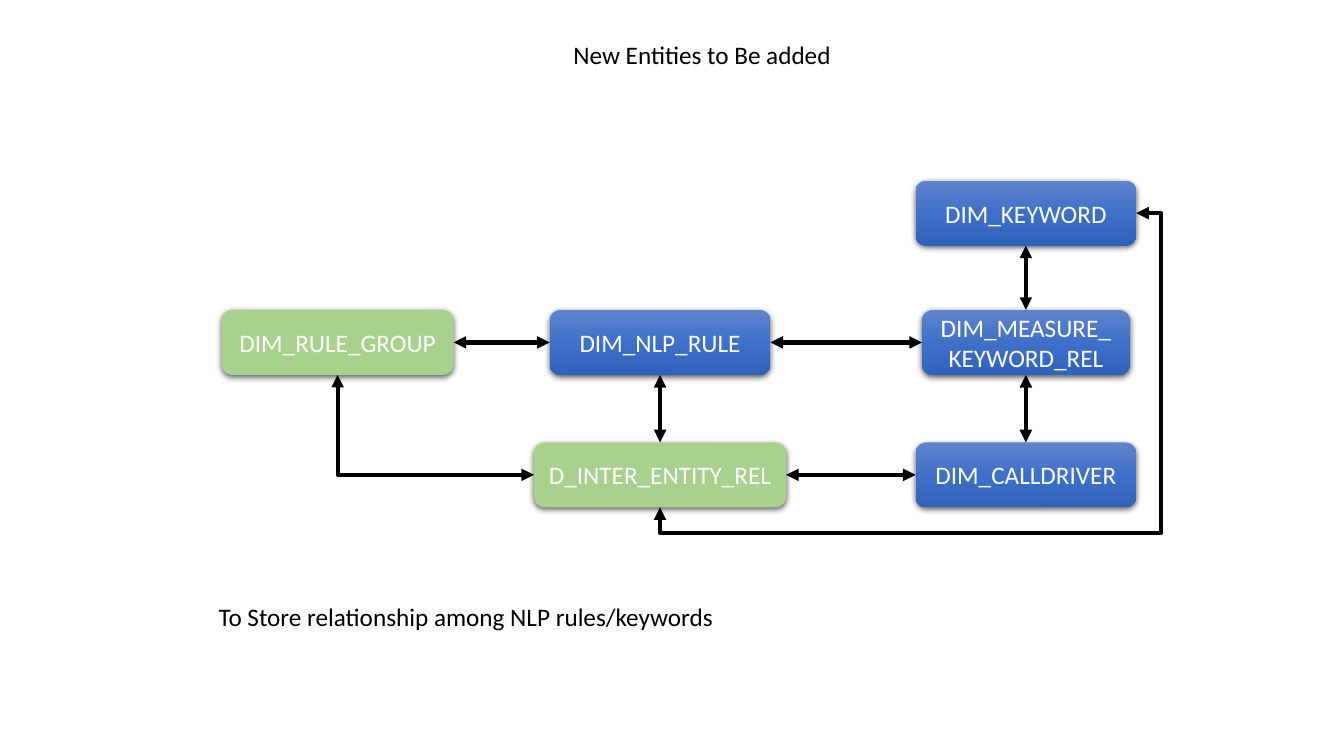
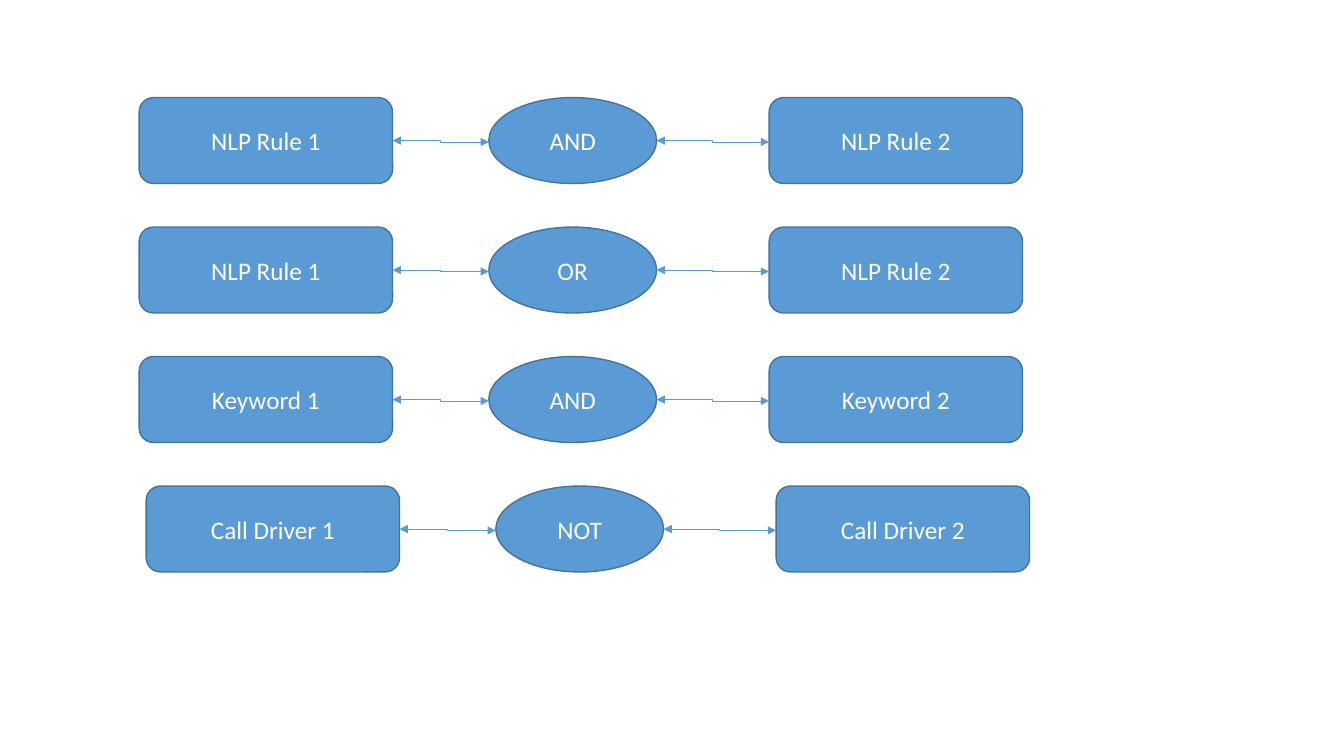
from copy import deepcopy

from lxml.etree import SubElement
from pptx import Presentation
from pptx.dml.color import RGBColor
from pptx.enum.shapes import MSO_CONNECTOR, MSO_SHAPE
from pptx.enum.text import MSO_ANCHOR, MSO_AUTO_SIZE, PP_ALIGN
from pptx.oxml.ns import qn
from pptx.util import Pt

COLORS = {
    "text": "000000",
    "light_text": "FFFFFF",
    "arrow": "000000",
    "new_entity": "A9D18E",
    "operand": "5B9BD5",
    "operand_line": "43739E",
}
ENTITY_GRADIENT = [(0, "6183CB"), (0.5, "3E70CA"), (1, "3062BB")]
TOP, LEFT, BOTTOM, RIGHT = range(4)


def rgb(name):
    return RGBColor.from_string(COLORS[name])


class Deck:
    font_name = "Calibri"
    font_size = Pt(18)

    def __init__(self):
        self.presentation = Presentation()
        self.presentation.slide_width = Pt(960)
        self.presentation.slide_height = Pt(540)
        self.slide = None

    def add_slide(self):
        self.slide = self.presentation.slides.add_slide(self.presentation.slide_layouts[6])

    def style_text(self, shape, text, color, alignment):
        shape.text_frame.text = text
        paragraph = shape.text_frame.paragraphs[0]
        paragraph.alignment = alignment
        for run in paragraph.runs:
            run.font.name = self.font_name
            run.font.size = self.font_size
            run.font.color.rgb = rgb(color)

    def label(self, text, left, top, width):
        shape = self.slide.shapes.add_textbox(Pt(left), Pt(top), Pt(width), Pt(29))
        self.style_text(shape, text, "text", PP_ALIGN.LEFT)
        shape.text_frame.word_wrap = False
        shape.text_frame.auto_size = MSO_AUTO_SIZE.SHAPE_TO_FIT_TEXT

    def node(self, kind, text, left, top, width, height):
        shape = self.slide.shapes.add_shape(kind, Pt(left), Pt(top), Pt(width), Pt(height))
        shape.shadow.inherit = False
        self.style_text(shape, text, "light_text", PP_ALIGN.CENTER)
        shape.text_frame.word_wrap = True
        shape.text_frame.vertical_anchor = MSO_ANCHOR.MIDDLE
        return shape

    def entity(self, text, center, top, width, height, is_new=False):
        shape = self.node(MSO_SHAPE.ROUNDED_RECTANGLE, text, center - width / 2, top, width, height)
        shape.line.fill.background()
        if is_new:
            shape.fill.solid()
            shape.fill.fore_color.rgb = rgb("new_entity")
        else:
            self.shade(shape)
        effects = shape._element.spPr.find(qn("a:effectLst"))
        shadow = SubElement(effects, qn("a:outerShdw"), blurRad=str(Pt(4.5)),
                            dist=str(Pt(1.5)), dir="5400000", algn="ctr", rotWithShape="0")
        color = SubElement(shadow, qn("a:srgbClr"), val="000000")
        SubElement(color, qn("a:alpha"), val="63000")
        return shape

    def shade(self, shape):
        shape.fill.gradient()
        shape.fill.gradient_angle = 270
        stop_list = shape._element.spPr.find(".//" + qn("a:gsLst"))
        stop_list.append(deepcopy(stop_list[0]))
        for stop, (position, color) in zip(shape.fill.gradient_stops, ENTITY_GRADIENT):
            stop.position = position
            stop.color.rgb = RGBColor.from_string(color)

    def operand(self, kind, text, left, top, width, height):
        shape = self.node(kind, text, left, top, width, height)
        shape.fill.solid()
        shape.fill.fore_color.rgb = rgb("operand")
        shape.line.color.rgb = rgb("operand_line")
        shape.line.width = Pt(1)

    def arrow(self, kind, color, width, begin=(0, 0), end=(0, 0)):
        connector = self.slide.shapes.add_connector(kind, *map(Pt, begin + end))
        connector.line.color.rgb = rgb(color)
        connector.line.width = Pt(width)
        properties = connector._element.spPr
        line = properties.find(qn("a:ln"))
        for tag in ("a:headEnd", "a:tailEnd"):
            SubElement(line, qn(tag), type="triangle")
        SubElement(properties, qn("a:effectLst"))
        return connector

    def join(self, first, first_side, second, second_side, kind=MSO_CONNECTOR.STRAIGHT):
        connector = self.arrow(kind, "arrow", 3)
        connector.begin_connect(first, first_side)
        connector.end_connect(second, second_side)
        return connector

    def bend(self, connector, preset, *adjustments):
        geometry = connector._element.spPr.find(qn("a:prstGeom"))
        geometry.set("prst", preset)
        guides = geometry.find(qn("a:avLst"))
        for number, value in enumerate(adjustments, 1):
            SubElement(guides, qn("a:gd"), name=f"adj{number}", fmla=f"val {round(value * 100000)}")


def add_entities_slide(deck):
    deck.add_slide()
    deck.label("New Entities to Be added", 402.5, 24.5, 201)
    deck.label("To Store relationship among NLP rules/keywords", 149, 426.2, 372)

    left, middle, right = 241.2, 471.5, 732.8
    upper, center, lower = 129, 221.4, 316
    height = 46.4
    keyword = deck.entity("DIM_KEYWORD", right, upper, 157.6, height)
    group = deck.entity("DIM_RULE_GROUP", left, center, 165.6, height, is_new=True)
    rule = deck.entity("DIM_NLP_RULE", middle, center, 157.6, height)
    measure = deck.entity("DIM_MEASURE_KEYWORD_REL", right, center, 148.4, height)
    relation = deck.entity("D_INTER_ENTITY_REL", middle, lower, 180, height, is_new=True)
    driver = deck.entity("DIM_CALLDRIVER", right, lower, 157.6, height)

    for first, second in ((group, rule), (rule, measure), (relation, driver)):
        deck.join(first, RIGHT, second, LEFT)
    for first, second in ((keyword, measure), (measure, driver), (rule, relation)):
        deck.join(first, BOTTOM, second, TOP)

    corner = deck.join(relation, LEFT, group, BOTTOM, MSO_CONNECTOR.ELBOW)
    deck.bend(corner, "bentConnector2")
    detour = deck.join(keyword, RIGHT, relation, BOTTOM, MSO_CONNECTOR.ELBOW)
    clearance = Pt(18)
    deck.bend(detour, "bentConnector4",
              -clearance / detour.width, 1 + clearance / detour.height)


def add_operators_slide(deck):
    deck.add_slide()
    rows = [
        ("NLP Rule", "AND", 0),
        ("NLP Rule", "OR", 0),
        ("Keyword", "AND", 0),
        ("Call Driver", "NOT", 5),
    ]
    operand_width, operator_width, height = 181, 119.8, 61.4
    for index, (name, operator, shift) in enumerate(rows):
        top = 69.7 + 92.5 * index
        first, middle, second = (left + shift for left in (99.4, 349.2, 549.4))
        deck.operand(MSO_SHAPE.ROUNDED_RECTANGLE, f"{name} 1", first, top, operand_width, height)
        deck.operand(MSO_SHAPE.ROUNDED_RECTANGLE, f"{name} 2", second, top, operand_width, height)
        deck.operand(MSO_SHAPE.OVAL, operator, middle, top, operator_width, height)
        level = top + height / 2
        for begin, end in ((first + operand_width, middle), (middle + operator_width, second)):
            deck.arrow(MSO_CONNECTOR.ELBOW, "operand", 0.5, (begin, level), (end, level + 1))


def main():
    deck = Deck()
    add_entities_slide(deck)
    add_operators_slide(deck)
    deck.presentation.save("out.pptx")


if __name__ == "__main__":
    main()
